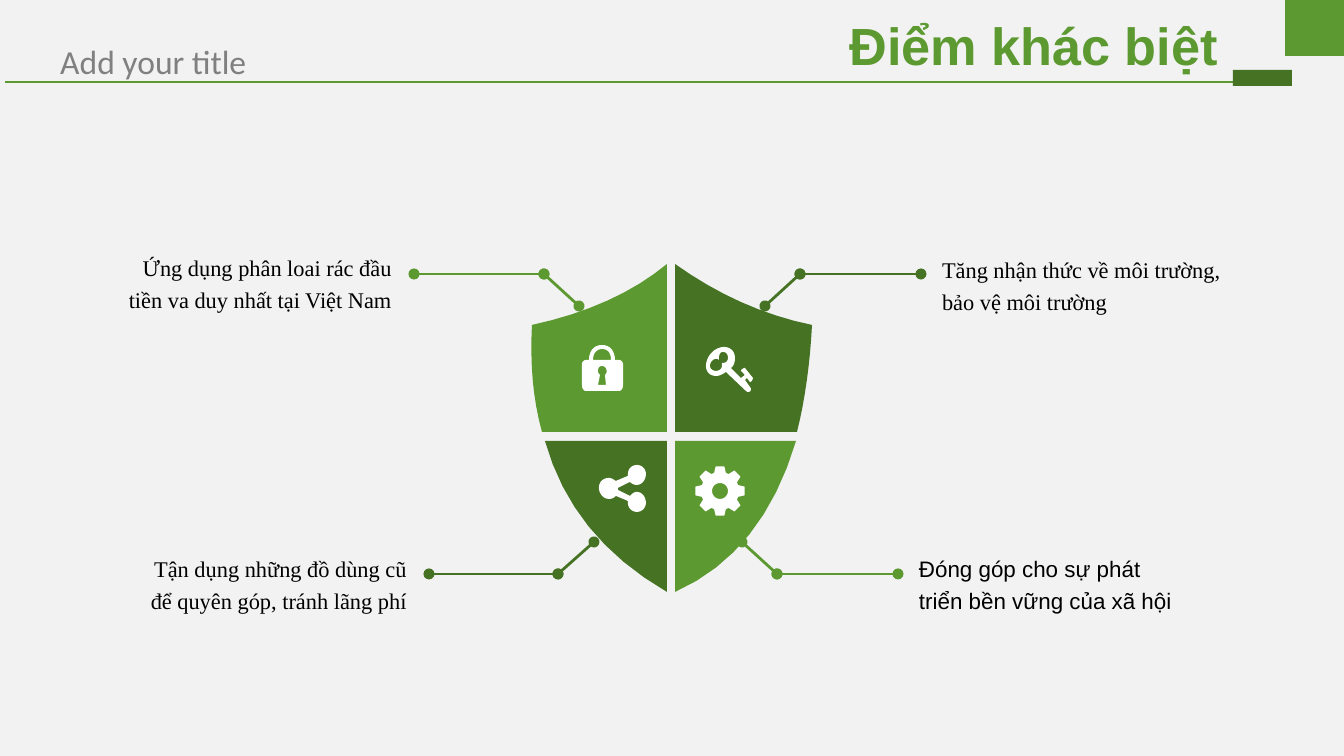
from itertools import pairwise
from math import cos, radians, sin

from lxml import etree
from pptx import Presentation
from pptx.dml.color import RGBColor
from pptx.enum.shapes import MSO_CONNECTOR as CONN, MSO_SHAPE as SHAPE
from pptx.enum.text import MSO_ANCHOR as ANCHOR, MSO_AUTO_SIZE as AUTO, PP_ALIGN as ALIGN
from pptx.oxml.ns import qn
from pptx.util import Pt

PX = 9144000 / 1344
GREEN = RGBColor(0x5C, 0x99, 0x30)
DARK = RGBColor(0x45, 0x72, 0x23)
WHITE = RGBColor(0xFF, 0xFF, 0xFF)
BLACK = RGBColor(0, 0, 0)
GRAY = RGBColor(0x80, 0x80, 0x80)
PALE = RGBColor(0xF2, 0xF2, 0xF2)


def px(*values):
    return [round(v * PX) for v in values]


def add_outline(contours, color):
    """Fill closed contours; a 2-tuple is a corner, a 6-tuple a Bezier step."""
    fb = None
    for start, *steps in contours:
        points, (x, y) = [], start
        for step in steps:
            if len(step) == 6:
                a, b, c, d, e, f = step
                for t in [i / 8 for i in range(1, 9)]:
                    u = 1 - t
                    k = u**3, 3 * u * u * t, 3 * u * t * t, t**3
                    points.append(px(k[0] * x + k[1] * a + k[2] * c + k[3] * e,
                                     k[0] * y + k[1] * b + k[2] * d + k[3] * f))
            else:
                points.append(px(*step))
            x, y = step[-2:]
        if fb is None:
            fb = s.shapes.build_freeform(*px(*start))
        else:
            fb.move_to(*px(*start))
        fb.add_line_segments(points, close=True)
    sp = fb.convert_to_shape()
    sp.shadow.inherit = False
    sp.fill.solid()
    sp.fill.fore_color.rgb = color
    sp.line.fill.background()


def add_line(start, end, color, width, dots=False):
    cxn = s.shapes.add_connector(CONN.STRAIGHT, *px(*start, *end))
    cxn.line.color.rgb = color
    cxn.line.width = Pt(width)
    if dots:
        ln = cxn.line._get_or_add_ln()
        for tag in ("a:headEnd", "a:tailEnd"):
            etree.SubElement(ln, qn(tag), type="oval")
    etree.SubElement(cxn._element.spPr, qn("a:effectLst"))


prs = Presentation()
prs.slide_width, prs.slide_height = px(1344, 756)
s = prs.slides.add_slide(prs.slide_layouts[5])
s.background.fill.solid()
s.background.fill.fore_color.rgb = PALE

# Title
title = s.shapes.title
title.left, title.top, title.width, title.height = px(836, 7, 418, 77)
tf = title.text_frame
tf.text = "Điểm khác biệt"
tf.auto_size = AUTO.NONE
tf.vertical_anchor = ANCHOR.TOP
p = tf.paragraphs[0]
p.alignment = ALIGN.LEFT
p.font.name, p.font.size, p.font.bold = "Arial", Pt(28), True
p.font.color.rgb = GREEN

# Heading label
tf = s.shapes.add_textbox(*px(47, 34, 215, 54)).text_frame
tf.word_wrap = False
p = tf.paragraphs[0]
p.text = "Add your title"
p.font.name, p.font.size = "Calibri", Pt(18)
p.font.color.rgb = GRAY

# Shield quarters
quarters = [
    (GREEN, [(532, 325), (587, 313, 632, 293, 667, 264), (667, 432), (542, 432),
             (533, 399, 530, 364, 532, 325)]),
    (DARK, [(797, 432), (675, 432), (675, 264), (717, 294, 763, 315, 812, 325),
            (810, 364, 805, 400, 797, 432)]),
    (DARK, [(667, 441), (667, 592), (603, 555, 563, 505, 545, 441)]),
    (GREEN, [(675, 441), (796, 441), (774, 515, 734, 566, 675, 592)]),
]
for color, contour in quarters:
    add_outline([contour], color)

# Icons
lock = [
    [(619, 360), (615, 360), (615, 351, 610, 345, 602, 345),
     (594, 345, 589, 351, 589, 360), (586, 360), (584, 360, 582, 362, 582, 364),
     (582, 385), (582, 389, 584, 391, 586, 391), (619, 391),
     (621, 391, 623, 389, 623, 385), (623, 364), (623, 362, 621, 360, 619, 360)],
    [(606, 385), (598, 385), (600, 375), (597, 373, 597, 366, 602, 366),
     (607, 366, 608, 373, 605, 375)],
    [(593, 360), (593, 352, 598, 349, 602, 349), (607, 349, 611, 352, 611, 360)],
]
key = [
    [(750, 382), (747, 378), (745, 380), (750, 387), (753, 390, 749, 394, 746, 391),
     (726, 372), (723, 374, 720, 376, 716, 376), (710, 376, 706, 372, 706, 366),
     (706, 356, 715, 347, 724, 347), (730, 347, 735, 351, 735, 358),
     (735, 362, 734, 366, 731, 368), (741, 378), (745, 375), (741, 371),
     (741, 370, 743, 368, 745, 368), (753, 378), (753, 379, 752, 382, 750, 382)],
    [(723, 352), (720, 352, 719, 355, 719, 358), (719, 360),
     (718, 359, 717, 359, 716, 359), (713, 359, 710, 362, 710, 366),
     (710, 369, 713, 371, 716, 371), (719, 371, 722, 369, 722, 366), (722, 363),
     (723, 363), (727, 363, 728, 360, 728, 358), (728, 355, 727, 352, 723, 352)],
]
share = [
    [(646, 503), (646, 508, 642, 512, 637, 512), (632, 512, 628, 508, 628, 503),
     (628, 501), (616, 496), (614, 498, 612, 499, 609, 499),
     (603, 499, 599, 493, 599, 488), (599, 482, 603, 478, 609, 478),
     (612, 478, 614, 480, 616, 481), (628, 476), (628, 474),
     (628, 469, 632, 465, 637, 465), (642, 465, 646, 469, 646, 474),
     (646, 480, 642, 485, 637, 485), (634, 485, 632, 484, 630, 482),
     (618, 488), (618, 490), (630, 496), (632, 494, 634, 492, 637, 492),
     (642, 492, 646, 497, 646, 503)],
]
tooth = [(-18, 19), (-10, 25), (10, 25), (18, 19)]
rim = [(45 * i + turn, radius) for i in range(8) for turn, radius in tooth]
hole = [(15 * i, 8) for i in range(24)]
gear = [[(720 + r * cos(radians(a)), 491 + r * sin(radians(a))) for a, r in ring]
        for ring in (rim, hole)]
for icon in (lock, key, share, gear):
    add_outline(icon, WHITE)

# Callout texts
callouts = [
    ((106, 249, 286, 62), ALIGN.RIGHT, "Times New Roman",
     "Ứng dụng phân loai rác đầu tiền va duy nhất tại Việt Nam"),
    ((148, 550, 259, 62), ALIGN.RIGHT, "Times New Roman",
     "Tận dụng những đồ dùng cũ để quyên góp, tránh lãng phí"),
    ((942, 251, 281, 64), ALIGN.LEFT, "Times New Roman",
     "Tăng nhận thức về môi trường, bảo vệ môi trường"),
    ((919, 550, 261, 62), ALIGN.LEFT, "Arial",
     "Đóng góp cho sự phát triển bền vững của xã hội"),
]
for box, align, font, text in callouts:
    tf = s.shapes.add_textbox(*px(*box)).text_frame
    tf.word_wrap = True
    tf.margin_left = tf.margin_top = tf.margin_right = tf.margin_bottom = 0
    p = tf.paragraphs[0]
    p.text = text
    p.alignment, p.line_spacing = align, 1.2
    p.font.name, p.font.size = font, Pt(12)
    p.font.color.rgb = BLACK

# Callout lines
leaders = [
    (DARK, [(594, 542), (558, 574), (429, 574)]),
    (GREEN, [(742, 542), (777, 574), (898, 574)]),
    (GREEN, [(579, 306), (544, 274), (414, 274)]),
    (DARK, [(765, 306), (800, 274), (921, 274)]),
]
for color, points in leaders:
    for start, end in pairwise(points):
        add_line(start, end, color, 1.5, dots=True)

# Header rule and corner blocks
add_line((5, 82), (1284, 82), GREEN, 0.75)
for box, color in [((1285, -3, 59, 59), GREEN), ((1233, 70, 59, 16), DARK)]:
    sp = s.shapes.add_shape(SHAPE.RECTANGLE, *px(*box))
    sp.shadow.inherit = False
    sp.fill.solid()
    sp.fill.fore_color.rgb = color
    sp.line.fill.background()

prs.save("out.pptx")
